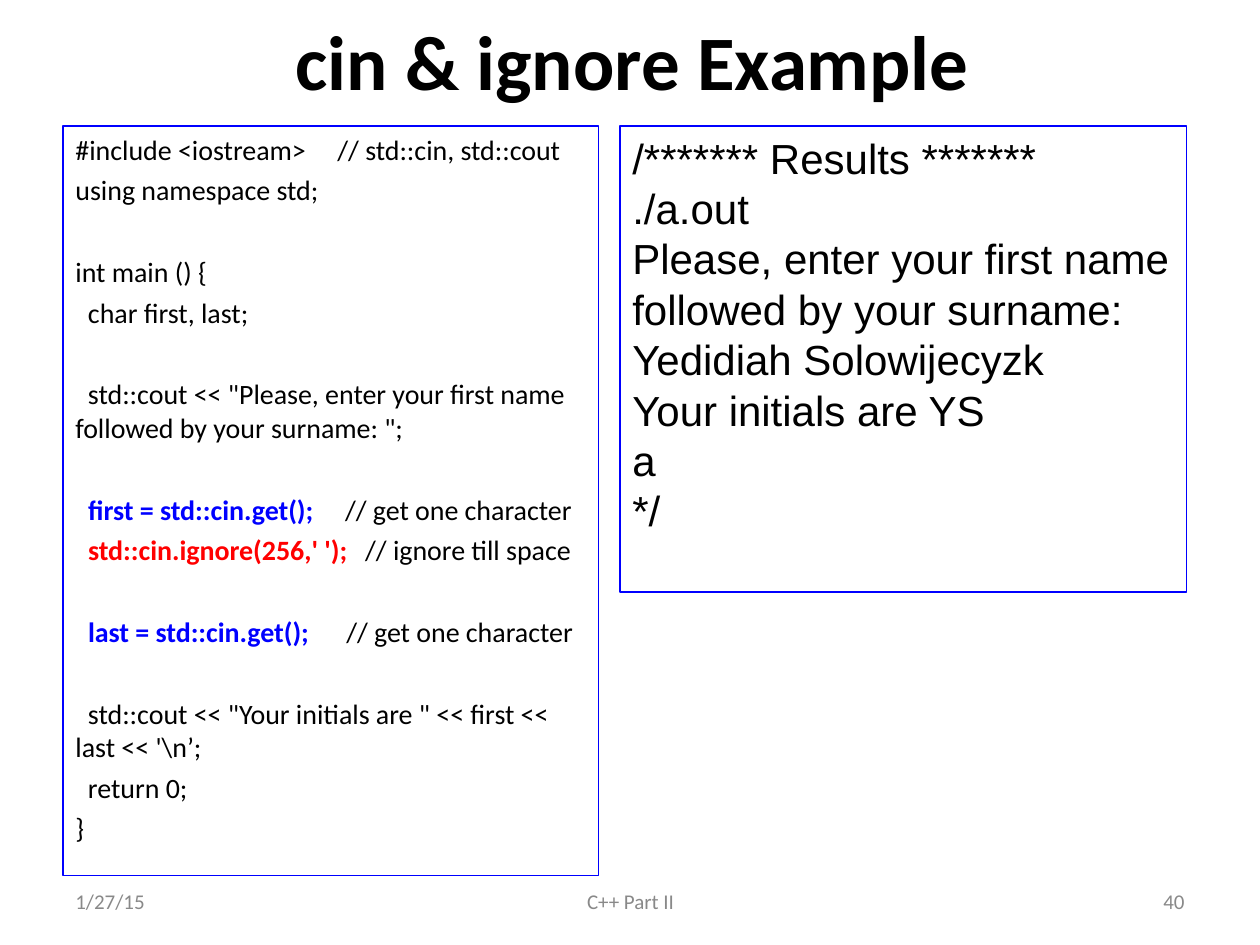
from lxml.etree import SubElement
from pptx import Presentation
from pptx.dml.color import RGBColor
from pptx.enum.shapes import MSO_SHAPE as Shape
from pptx.enum.text import MSO_ANCHOR as Anchor, PP_ALIGN as Align
from pptx.oxml.ns import qn
from pptx.util import Inches, Pt

BLACK = RGBColor(0x00, 0x00, 0x00)
BLUE = RGBColor(0x00, 0x00, 0xFF)
RED = RGBColor(0xFF, 0x00, 0x00)
GRAY = RGBColor(0x89, 0x89, 0x89)

TITLE = "cin & ignore Example"
CODE_BLOCKS = [
    [
        ([("#include <iostream>", BLACK), ("\t// std::cin, std::cout", BLACK)], 2.08),
        ([("using namespace std;", BLACK)], None),
    ],
    [
        ([("int main () {", BLACK)], None),
        ([("  char first, last;", BLACK)], None),
    ],
    [
        ([('  std::cout << "Please, enter your first name followed by your surname: ";', BLACK)], None),
    ],
    [
        ([("  ", BLACK), ("first = std::cin.get();", BLUE), ("\t// get one character", BLACK)], 2.14),
        ([("  ", BLACK), ("std::cin.ignore(256,' ');", RED), ("\t// ignore till space", BLACK)], 2.3),
    ],
    [
        ([("  ", BLACK), ("last = std::cin.get();", BLUE), ("\t// get one character", BLACK)], 2.15),
    ],
    [
        ([("  std::cout << \"Your initials are \" << first << last << '\\n’;", BLACK)], None),
        ([("  return 0;", BLACK)], None),
        ([("}", BLACK)], None),
    ],
]
RESULTS = [
    "/******* Results *******",
    "./a.out",
    "Please, enter your first name followed by your surname: Yedidiah Solowijecyzk",
    "Your initials are YS",
    "a",
    "*/",
]
FOOTERS = [
    ("1/27/15", 0.5, 2.33, Align.LEFT),
    ("C++ Part II", 3.42, 3.17, Align.CENTER),
    ("40", 7.17, 2.33, Align.RIGHT),
]
LINE_GAP = 4
BLOCK_GAP = 27.5


def add_span(para, text, size, color=BLACK, font="Calibri", bold=False):
    span = para.add_run()
    span.text = text
    span.font.name = font
    span.font.size = Pt(size)
    span.font.bold = bold
    span.font.color.rgb = color


def add_label(slide, text, place, align, size, color, bold=False):
    box = slide.shapes.add_textbox(*map(Inches, place))
    frame = box.text_frame
    frame.word_wrap = True
    frame.vertical_anchor = Anchor.MIDDLE
    para = frame.paragraphs[0]
    para.alignment = align
    add_span(para, text, size, color, bold=bold)


def add_panel(slide, place):
    panel = slide.shapes.add_shape(Shape.RECTANGLE, *map(Inches, place))
    panel.shadow.inherit = False
    panel.fill.background()
    panel.line.color.rgb = BLUE
    panel.line.width = Pt(0.75)
    frame = panel.text_frame
    frame.word_wrap = True
    frame.vertical_anchor = Anchor.TOP
    return frame


def next_para(frame, index):
    para = frame.add_paragraph() if index else frame.paragraphs[0]
    para.alignment = Align.LEFT
    return para


def add_tab_stop(para, position):
    tabs = SubElement(para._p.get_or_add_pPr(), qn("a:tabLst"))
    SubElement(tabs, qn("a:tab"), pos=str(Inches(position)), algn="l")


def fill_code(frame):
    count = 0
    for block in CODE_BLOCKS:
        for row, (spans, comment_tab) in enumerate(block):
            para = next_para(frame, count)
            if comment_tab:
                add_tab_stop(para, comment_tab)
            if count:
                para.space_before = Pt(LINE_GAP if row else BLOCK_GAP)
            for text, color in spans:
                add_span(para, text, 16, color, bold=color != BLACK)
            count += 1


def main():
    deck = Presentation()
    deck.slide_width, deck.slide_height = Inches(10), Inches(7.5)
    slide = deck.slides.add_slide(deck.slide_layouts[6])

    add_label(slide, TITLE, (0.52, 0.04, 9, 0.87), Align.CENTER, 44, BLACK, bold=True)
    fill_code(add_panel(slide, (0.5, 1, 4.25, 5.95)))
    for text, left, width, align in FOOTERS:
        add_label(slide, text, (left, 6.95, width, 0.4), align, 12, GRAY)
    results = add_panel(slide, (4.92, 1, 4.5, 3.7))
    for index, line in enumerate(RESULTS):
        add_span(next_para(results, index), line, 24, font="Arial")

    deck.save("out.pptx")


if __name__ == "__main__":
    main()
